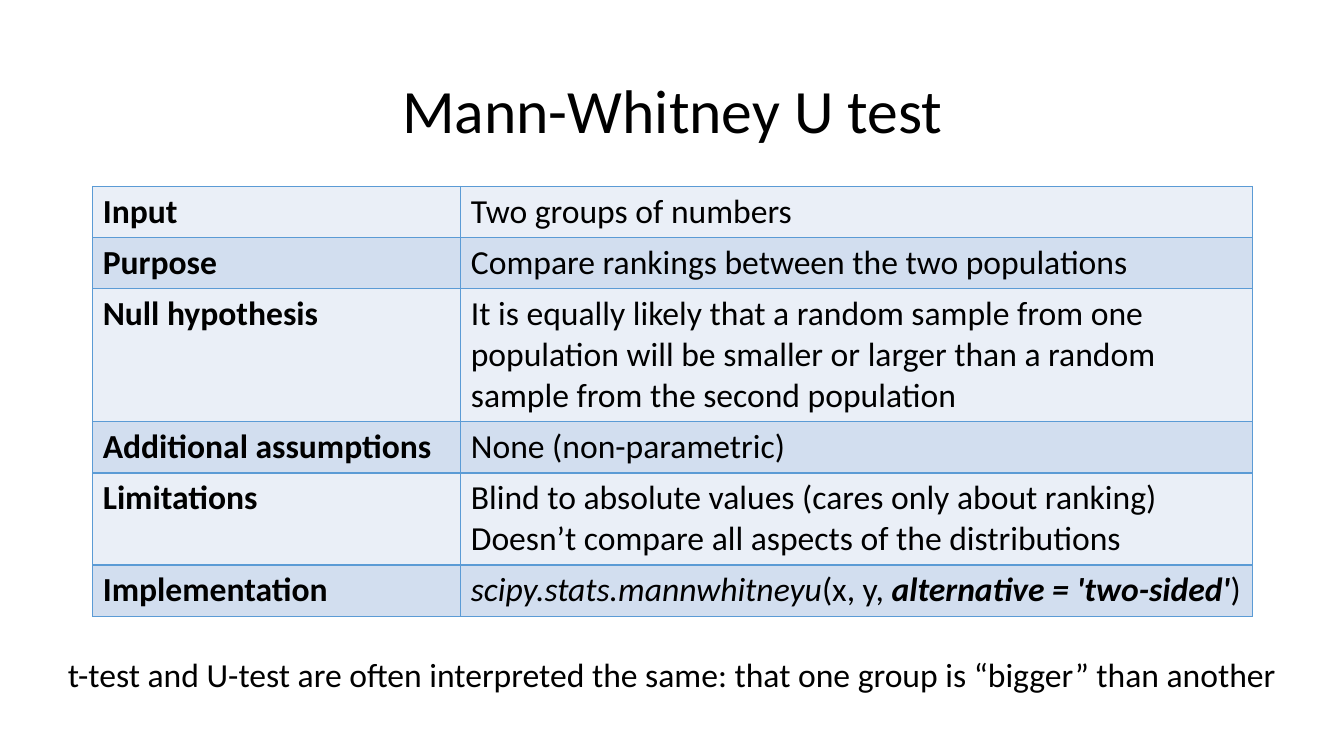
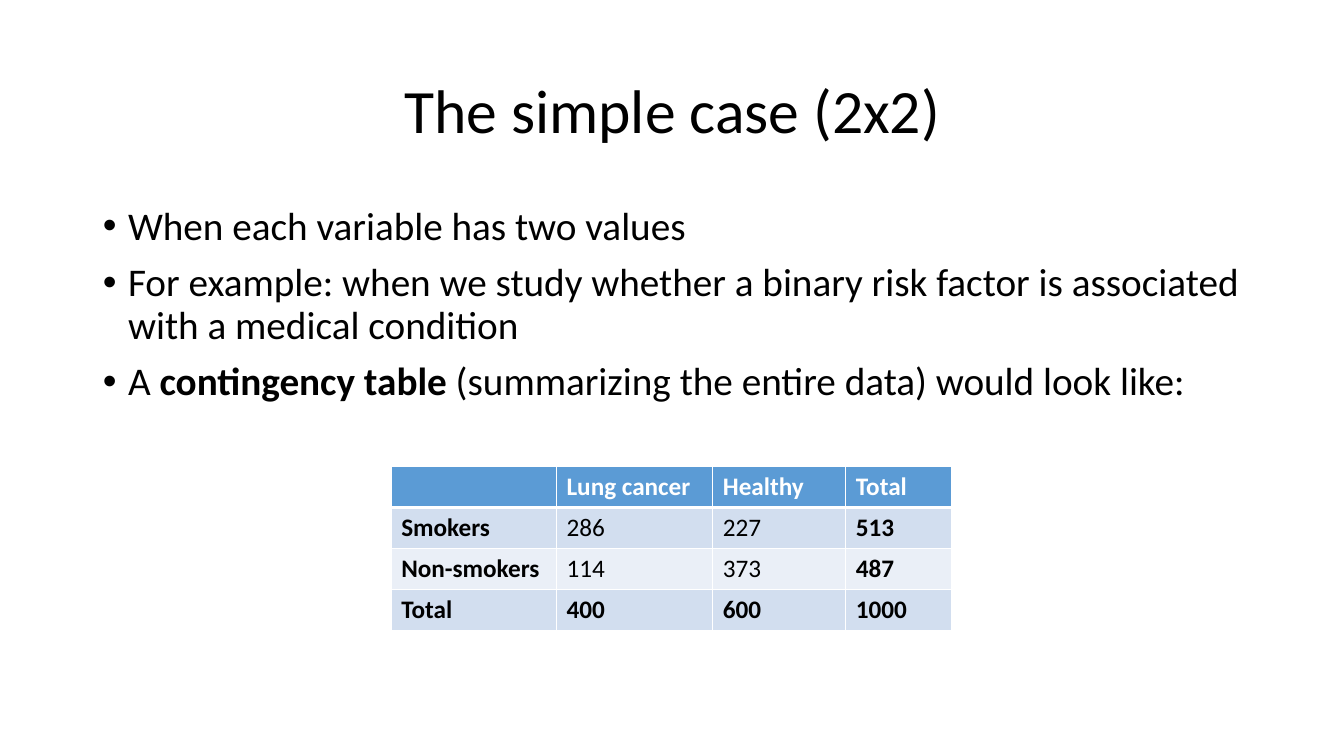
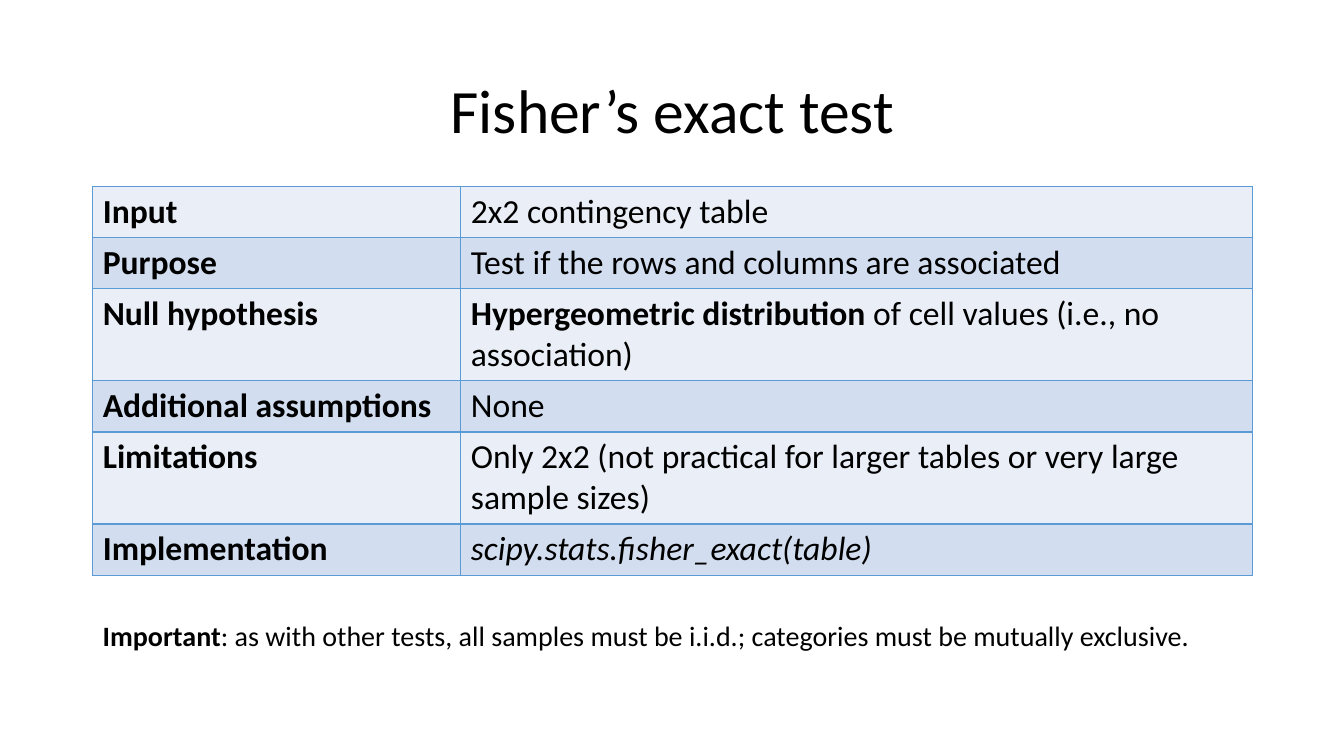
from lxml import etree
from pptx import Presentation
from pptx import util as u
from pptx.dml import color
from pptx.enum import text
from pptx.oxml import ns

COLORS = {
    "ink": "000000",
    "paper": "FFFFFF",
    "accent": "5B9BD5",
    "light": "EAEFF7",
    "band": "D2DEEF",
}
FONT = "Calibri"
UNIT = 0.5
SLIDE_W, SLIDE_H = 13.33, 7.5
LEFT, SPAN = 1.84, 23
SPEC_COLS = [7.3, 15.7]
SPEC_LABELS = ["Input", "Purpose", "Null hypothesis", "Additional assumptions",
               "Limitations", "Implementation"]


def grid(*units):
    return [u.Inches(n * UNIT) for n in units]


def rgb(name):
    return color.RGBColor.from_string(COLORS[name])


def sub(parent, tag, **attrs):
    return etree.SubElement(parent, ns.qn(tag), attrs)


def write(tf, paras, size, ink="ink", align=None):
    for i, parts in enumerate(paras):
        p = tf.paragraphs[0] if i == 0 else tf.add_paragraph()
        if align is not None:
            p.alignment = align
        for content, style in [(parts, "")] if isinstance(parts, str) else parts:
            r = p.add_run()
            r.text = content
            r.font.name = FONT
            r.font.size = u.Pt(size)
            r.font.bold = "b" in style
            r.font.italic = "i" in style
            r.font.color.rgb = rgb(ink)


def place(sp, *units):
    sp.left, sp.top, sp.width, sp.height = grid(*units)
    sp.text_frame.auto_size = text.MSO_AUTO_SIZE.NONE


def add_slide(prs, title, layout=5):
    s = prs.slides.add_slide(prs.slide_layouts[layout])
    sp = s.shapes.title
    place(sp, LEFT, 0.8, SPAN, 2.9)
    sp.text_frame.vertical_anchor = text.MSO_ANCHOR.MIDDLE
    write(sp.text_frame, [title], 44, align=text.PP_ALIGN.CENTER)
    sp.text_frame.paragraphs[0].line_spacing = 0.9
    return s


def add_bullets(s, paras):
    sp = s.placeholders[1]
    place(sp, LEFT, 4, SPAN, 9.52)
    write(sp.text_frame, paras, 28)
    for i, p in enumerate(sp.text_frame.paragraphs):
        pPr = p._p.get_or_add_pPr()
        pPr.set("marL", str(u.Inches(0.25)))
        pPr.set("indent", str(u.Inches(-0.25)))
        sub(pPr, "a:buFont", typeface="Arial")
        sub(pPr, "a:buChar", char="•")
        p.line_spacing = 0.9
        p.space_before = u.Pt(10 if i else 0)


def add_caption(s, parts, size, box, align=text.PP_ALIGN.LEFT):
    tf = s.shapes.add_textbox(*grid(*box)).text_frame
    tf.word_wrap = True
    write(tf, [parts], size, align=align)


def style_cell(cell, fill, line, top=1, bottom=1):
    tcPr = cell._tc.get_or_add_tcPr()
    for side, width in zip("LRTB", (1, 1, top, bottom)):
        ln = sub(tcPr, "a:ln" + side, w=str(u.Pt(width)))
        sub(sub(ln, "a:solidFill"), "a:srgbClr", val=COLORS[line])
    cell.fill.solid()
    cell.fill.fore_color.rgb = rgb(fill)


def add_grid_table(s, left, top, widths, row_height, rows):
    frame = s.shapes.add_table(len(rows), len(widths),
                               *grid(left, top, sum(widths), row_height * len(rows)))
    table = frame.table
    table.first_row = table.horz_banding = False
    for column, width in zip(table.columns, grid(*widths)):
        column.width = width
    return table


def add_spec_table(s, values):
    rows = list(zip(SPEC_LABELS, values))
    table = add_grid_table(s, LEFT, 3.7, SPEC_COLS, 0.82, rows)
    for i, (label, paras) in enumerate(rows):
        for j, content in enumerate(([[(label, "b")]], paras)):
            cell = table.cell(i, j)
            style_cell(cell, "band" if i % 2 else "light", "accent")
            write(cell.text_frame, content, 24)


def add_contingency_table(s, rows):
    table = add_grid_table(s, 7.76, 9.26, [3.28, 3.1, 2.64, 2.1], 0.66, rows)
    last = len(rows) - 1
    for i, row in enumerate(rows):
        fill = "accent" if i == 0 else "band" if i % 2 else "light"
        for j, content in enumerate(row):
            cell = table.cell(i, j)
            style_cell(cell, fill, "paper", 3 if i == 1 else 1, 3 if i == 0 else 1)
            edge = i in (0, last) or j in (0, len(row) - 1)
            if content:
                write(cell.text_frame, [[(content, "b" if edge else "")]], 18,
                      "ink" if i else "paper")


def main():
    prs = Presentation()
    prs.slide_width, prs.slide_height = u.Inches(SLIDE_W), u.Inches(SLIDE_H)

    s = add_slide(prs, "Mann-Whitney U test")
    add_spec_table(s, [
        ["Two groups of numbers"],
        ["Compare rankings between the two populations"],
        ["It is equally likely that a random sample from one population will be "
         "smaller or larger than a random sample from the second population"],
        ["None (non-parametric)"],
        ["Blind to absolute values (cares only about ranking)",
         "Doesn’t compare all aspects of the distributions"],
        [[("scipy.stats.mannwhitneyu", "i"), ("(x, y, ", ""),
          ("alternative = 'two-sided'", "bi"), (")", "")]],
    ])
    add_caption(s, "t-test and U-test are often interpreted the same: "
                "that one group is “bigger” than another",
                24, (0, 12.88, SLIDE_W / UNIT, 1), text.PP_ALIGN.CENTER)

    s = add_slide(prs, "The simple case (2x2)", layout=1)
    add_bullets(s, [
        "When each variable has two values",
        "For example: when we study whether a binary risk factor is associated "
        "with a medical condition",
        [("A ", ""), ("contingency table ", "b"),
         ("(summarizing the entire data) would look like:", "")],
    ])
    add_contingency_table(s, [
        ["", "Lung cancer", "Healthy", "Total"],
        ["Smokers", "286", "227", "513"],
        ["Non-smokers", "114", "373", "487"],
        ["Total", "400", "600", "1000"],
    ])

    s = add_slide(prs, "Fisher’s exact test")
    add_spec_table(s, [
        ["2x2 contingency table"],
        ["Test if the rows and columns are associated"],
        [[("Hypergeometric distribution", "b"),
          (" of cell values (i.e., no association)", "")]],
        ["None"],
        ["Only 2x2 (not practical for larger tables or very large sample sizes)"],
        [[("scipy.stats.fisher_exact(table)", "i")]],
    ])
    add_caption(s, [("Important", "b"),
                    (": as with other tests, all samples must be i.i.d.; "
                     "categories must be mutually exclusive.", "")],
                20, (LEFT, 12.18, SPAN, 0.88))

    prs.save("out.pptx")


if __name__ == "__main__":
    main()
